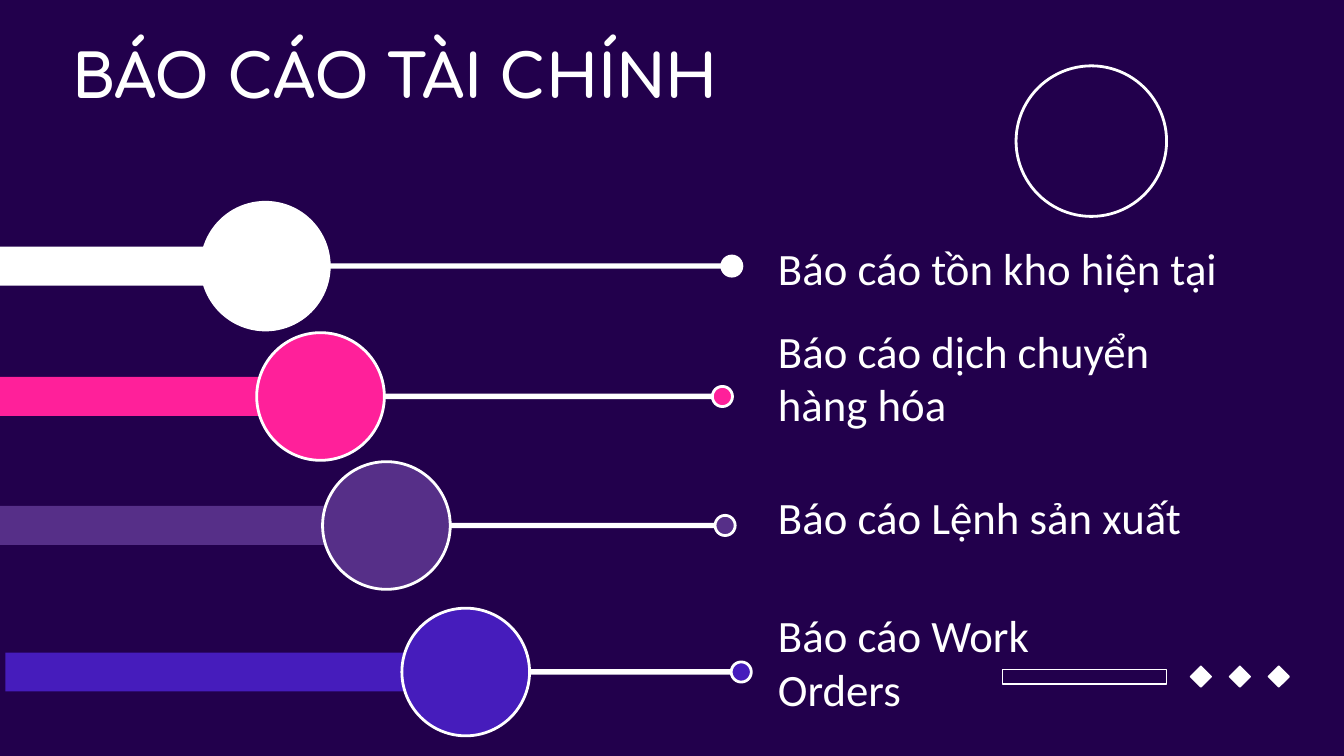
from pptx import Presentation
from pptx import util as u
from pptx.dml.color import RGBColor
from pptx.enum import shapes, text

WHITE = "FFFFFF"
NAVY = "22004C"
RECT = shapes.MSO_SHAPE.RECTANGLE
OVAL = shapes.MSO_SHAPE.OVAL

BAR_HEIGHT, STEM_HEIGHT, KNOB, DOT = 0.29, 0.04, 0.95, 0.15
LABEL_LEFT, LABEL_HEIGHT = 5.69, 0.63

# label, colour, centre line, bar (left, width), stem (left, width),
# knob left, dot left, label (top, width)
REPORTS = [
    ("Báo cáo tồn kho hiện tại", WHITE, 1.98,
     (-0.04, 1.79), (1.98, 3.42), 1.5, 5.37, (1.68, 3.49)),
    ("Báo cáo dịch chuyển hàng hóa", "FF209A", 2.95,
     (-0.11, 2.55), (2.54, 2.79), 1.91, 5.3, (2.49, 3.49)),
    ("Báo cáo Lệnh sản xuất", "562F88", 3.91,
     (-0.08, 2.82), (2.57, 2.79), 2.4, 5.32, (3.53, 3.38)),
    ("Báo cáo Work Orders", "461CBC", 5,
     (0.04, 3.12), (3.4, 2.08), 2.99, 5.44, (4.61, 2.59)),
]


def color(value):
    return RGBColor.from_string(value)


def set_all(target, values):
    for name, value in values.items():
        setattr(target, name, value)


def add_figure(parent, kind, left, top, width, height, fill=None, line=None):
    figure = parent.add_shape(kind, *map(u.Inches, (left, top, width, height)))
    figure.shadow.inherit = False
    if fill:
        figure.fill.solid()
        figure.fill.fore_color.rgb = color(fill)
    else:
        figure.fill.background()
    if line:
        figure.line.color.rgb = color(WHITE)
        figure.line.width = u.Pt(line)
    else:
        figure.line.fill.background()
    return figure


def write_text(box, words, anchor, font):
    frame = box.text_frame
    margins = ("margin_left", "margin_top", "margin_right", "margin_bottom")
    set_all(frame, dict.fromkeys(margins, u.Inches(0.1)))
    set_all(frame, {"word_wrap": True, "vertical_anchor": anchor,
                    "auto_size": text.MSO_AUTO_SIZE.NONE})
    para = frame.paragraphs[0]
    para.alignment = text.PP_ALIGN.LEFT
    span = para.add_run()
    span.text = words
    set_all(span.font, font)
    span.font.color.rgb = color(WHITE)


def add_title(page, words):
    title = page.shapes.title
    set_all(title, {"left": u.Inches(0.44), "top": u.Inches(0.19),
                    "width": u.Inches(6.09), "height": u.Inches(0.63)})
    write_text(title, words, text.MSO_ANCHOR.TOP,
               {"name": "Comfortaa", "size": u.Pt(32), "bold": True})


def add_ornaments(page):
    add_figure(page.shapes, RECT, 7.46, 4.98, 1.22, 0.11, line=0.75)
    for index in range(3):
        diamond = add_figure(page.shapes, RECT, 8.88 + 0.29 * index, 4.98,
                             0.11, 0.11, WHITE, 0.75)
        diamond.rotation = 45
    add_figure(page.shapes, OVAL, 7.56, 0.49, 1.12, 1.12, line=1.5)


def add_slider(page, fill, middle, bar, stem, knob_left, dot_left):
    parts = page.shapes.add_group_shape().shapes
    for (left, width), height, shade in ((bar, BAR_HEIGHT, fill),
                                         (stem, STEM_HEIGHT, WHITE)):
        add_figure(parts, RECT, left, middle - height / 2, width, height, shade)
    for left, size in ((knob_left, KNOB), (dot_left, DOT)):
        add_figure(parts, OVAL, left, middle - size / 2, size, size, fill, 1.5)


def add_label(page, words, top, width):
    box = page.shapes.add_textbox(
        *map(u.Inches, (LABEL_LEFT, top, width, LABEL_HEIGHT)))
    write_text(box, words, text.MSO_ANCHOR.MIDDLE,
               {"name": "Calibri", "size": u.Pt(24)})


def main():
    deck = Presentation()
    # Widescreen page, 16:9
    width = u.Inches(10)
    set_all(deck, {"slide_width": width, "slide_height": width * 9 // 16})
    page = deck.slides.add_slide(deck.slide_layouts[5])  # Title Only
    page.background.fill.solid()
    page.background.fill.fore_color.rgb = color(NAVY)

    add_ornaments(page)
    add_title(page, "BÁO CÁO TÀI CHÍNH")

    # Sliders first, then their labels on top
    for _, *slider, _ in REPORTS:
        add_slider(page, *slider)
    for words, *_, place in REPORTS:
        add_label(page, words, *place)

    deck.save("out.pptx")


if __name__ == "__main__":
    main()
